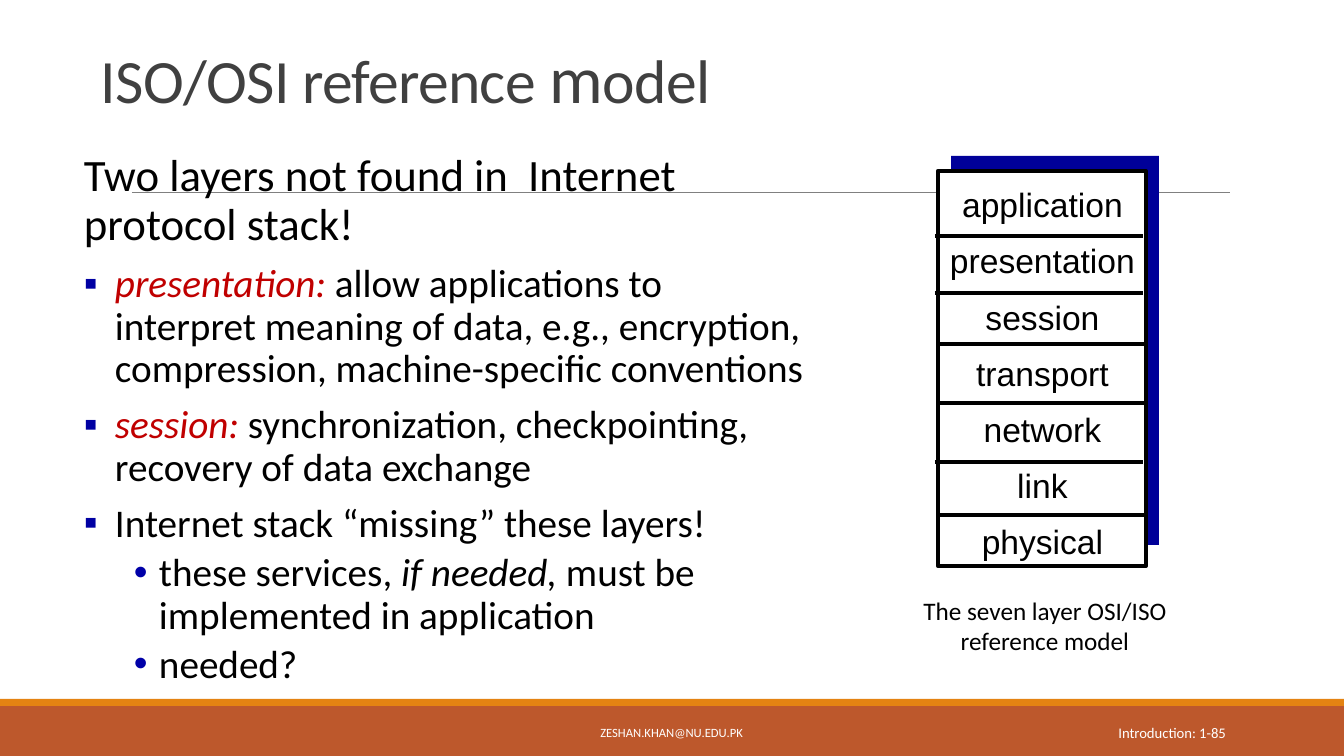
from dataclasses import dataclass

from lxml.etree import SubElement
from pptx import Presentation
from pptx.dml.color import RGBColor
from pptx.enum.shapes import MSO_CONNECTOR, MSO_SHAPE
from pptx.enum.text import MSO_ANCHOR, PP_ALIGN
from pptx.oxml.ns import qn
from pptx.util import Pt

EMU_PER_PX = 914400 / 100.8


def px(length):
    return round(length * EMU_PER_PX)


@dataclass(frozen=True)
class Theme:
    body_font: str = "Calibri"
    stack_font: str = "Arial"
    black: str = "000000"
    white: str = "FFFFFF"
    title_color: str = "404040"
    term: str = "C00000"
    bullet: str = "0000A3"
    sub_bullet: str = "0000A8"
    stack_shadow: str = "000099"
    rule: str = "808080"
    footer: str = "BD582C"
    footer_edge: str = "E48312"
    title_size: float = 44
    title_big_size: float = 48
    lead_size: float = 32
    body_size: float = 28
    stack_size: float = 24
    caption_size: float = 18
    number_size: float = 10.5
    address_size: float = 9


@dataclass(frozen=True)
class Bullet:
    symbol: str
    color: str
    left: int
    hanging: int
    space_before: float
    level: int = 0


class SlideBuilder:
    def __init__(self, slide, theme):
        self.slide = slide
        self.theme = theme

    def rectangle(self, left, top, width, height, fill, line=None):
        shape = self.slide.shapes.add_shape(
            MSO_SHAPE.RECTANGLE, px(left), px(top), px(width), px(height))
        shape.shadow.inherit = False
        shape.fill.solid()
        shape.fill.fore_color.rgb = RGBColor.from_string(fill)
        if line:
            shape.line.color.rgb = RGBColor.from_string(line)
            shape.line.width = Pt(3)
        else:
            shape.line.fill.background()

    def horizontal_line(self, left, top, width, color, weight):
        line = self.slide.shapes.add_connector(
            MSO_CONNECTOR.STRAIGHT, px(left), px(top), px(left + width), px(top))
        line.line.color.rgb = RGBColor.from_string(color)
        line.line.width = Pt(weight)
        SubElement(line._element.spPr, qn("a:effectLst"))

    def text_box(self, left, top, width, height, anchor=MSO_ANCHOR.TOP):
        box = self.slide.shapes.add_textbox(px(left), px(top), px(width), px(height))
        frame = box.text_frame
        frame.word_wrap = True
        frame.vertical_anchor = anchor
        frame.margin_left = frame.margin_right = px(10)
        frame.margin_top = frame.margin_bottom = px(5)
        return frame

    def paragraph(self, frame, runs, size, color=None, font=None, align=PP_ALIGN.LEFT,
                  spacing=1.0, space_before=0, bullet=None):
        """Fill the empty first paragraph or add one; runs are (text, overrides)."""
        paragraph = frame.paragraphs[0]
        if paragraph.runs:
            paragraph = frame.add_paragraph()
        paragraph.alignment = align
        paragraph.line_spacing = spacing
        if bullet:
            space_before = bullet.space_before
        if space_before:
            paragraph.space_before = Pt(space_before)
        if bullet:
            self.add_bullet(paragraph, bullet)
        for text, style in runs:
            run = paragraph.add_run()
            run.text = text
            run.font.name = font or self.theme.body_font
            run.font.size = Pt(style.get("size", size))
            run.font.italic = style.get("italic", False)
            run.font.color.rgb = RGBColor.from_string(
                style.get("color", color or self.theme.black))
            if "tracking" in style:
                run.font._element.set("spc", str(style["tracking"]))

    def add_bullet(self, paragraph, bullet):
        paragraph.level = bullet.level
        properties = paragraph._p.get_or_add_pPr()
        properties.set("marL", str(px(bullet.left)))
        properties.set("indent", str(-px(bullet.hanging)))
        color = SubElement(properties, qn("a:buClr"))
        SubElement(color, qn("a:srgbClr"), val=bullet.color)
        SubElement(properties, qn("a:buFont"), typeface=self.theme.stack_font)
        SubElement(properties, qn("a:buChar"), char=bullet.symbol)


def add_background(builder):
    theme = builder.theme
    builder.rectangle(0, 706, 1344, 50, theme.footer)
    builder.rectangle(0, 699, 1344, 7, theme.footer_edge)
    builder.horizontal_line(132, 192, 1098, theme.rule, 0.5)


def add_title(builder):
    theme = builder.theme
    frame = builder.text_box(91, 32, 1159, 99, MSO_ANCHOR.MIDDLE)
    tight = {"tracking": -50}
    builder.paragraph(frame, [
        ("ISO/OSI reference ", tight),
        ("m", {"size": theme.title_big_size, **tight}),
        ("odel", tight),
    ], theme.title_size, theme.title_color, spacing=0.9)


def add_body(builder):
    theme = builder.theme
    square = Bullet("▪", theme.bullet, 31, 31, 10)
    dot = Bullet("•", theme.sub_bullet, 75, 25, 5, level=1)
    term = {"color": theme.term, "italic": True}
    items = [
        (square, [("presentation: ", term),
                  ("allow applications to interpret meaning of data, e.g., encryption, "
                   "compression, machine-specific conventions", {})]),
        (square, [("session: ", term),
                  ("synchronization, checkpointing, recovery of data exchange", {})]),
        (square, [("Internet stack “missing” these layers!", {})]),
        (dot, [("these services, ", {}), ("if needed,", {"italic": True}),
               (" must be implemented in application", {})]),
        (dot, [("needed?", {})]),
    ]
    frame = builder.text_box(74, 148, 746, 565)
    builder.paragraph(frame, [("Two layers not found in  Internet protocol stack!", {})],
                      theme.lead_size, spacing=0.9)
    for bullet, runs in items:
        builder.paragraph(frame, runs, theme.body_size, spacing=0.9, bullet=bullet)


def add_layer_stack(builder):
    theme = builder.theme
    builder.rectangle(951, 156, 208, 389, theme.stack_shadow)
    builder.rectangle(938, 171, 208, 395, theme.white, theme.black)
    frame = builder.text_box(933, 190, 219, 376)
    layers = ("application", "presentation", "session", "transport",
              "network", "link", "physical")
    for index, layer in enumerate(layers):
        builder.paragraph(frame, [(layer, {})], theme.stack_size, font=theme.stack_font,
                          align=PP_ALIGN.CENTER, spacing=0.7,
                          space_before=20 if index else 0)
    dividers = ((935, 236), (935, 293), (937, 344), (937, 403), (935, 462), (937, 515))
    for left, top in dividers:
        builder.horizontal_line(left, top, 208, theme.black, 3)
    caption = builder.text_box(909, 590, 272, 72)
    for line in ("The seven layer OSI/ISO", "reference model"):
        builder.paragraph(caption, [(line, {})], theme.caption_size, align=PP_ALIGN.CENTER)


def add_footer(builder):
    theme = builder.theme
    address = builder.text_box(406, 712, 531, 41, MSO_ANCHOR.MIDDLE)
    builder.paragraph(address, [("ZESHAN.KHAN@NU.EDU.PK", {})], theme.address_size,
                      theme.white, align=PP_ALIGN.CENTER)
    number = builder.text_box(1092, 712, 144, 41, MSO_ANCHOR.MIDDLE)
    builder.paragraph(number, [("Introduction: 1-85", {})], theme.number_size,
                      theme.white, align=PP_ALIGN.RIGHT)


def main():
    presentation = Presentation()
    presentation.slide_width = px(1344)
    presentation.slide_height = px(756)
    slide = presentation.slides.add_slide(presentation.slide_layouts[6])
    builder = SlideBuilder(slide, Theme())
    add_background(builder)
    add_title(builder)
    add_body(builder)
    add_layer_stack(builder)
    add_footer(builder)
    presentation.save("out.pptx")


if __name__ == "__main__":
    main()
